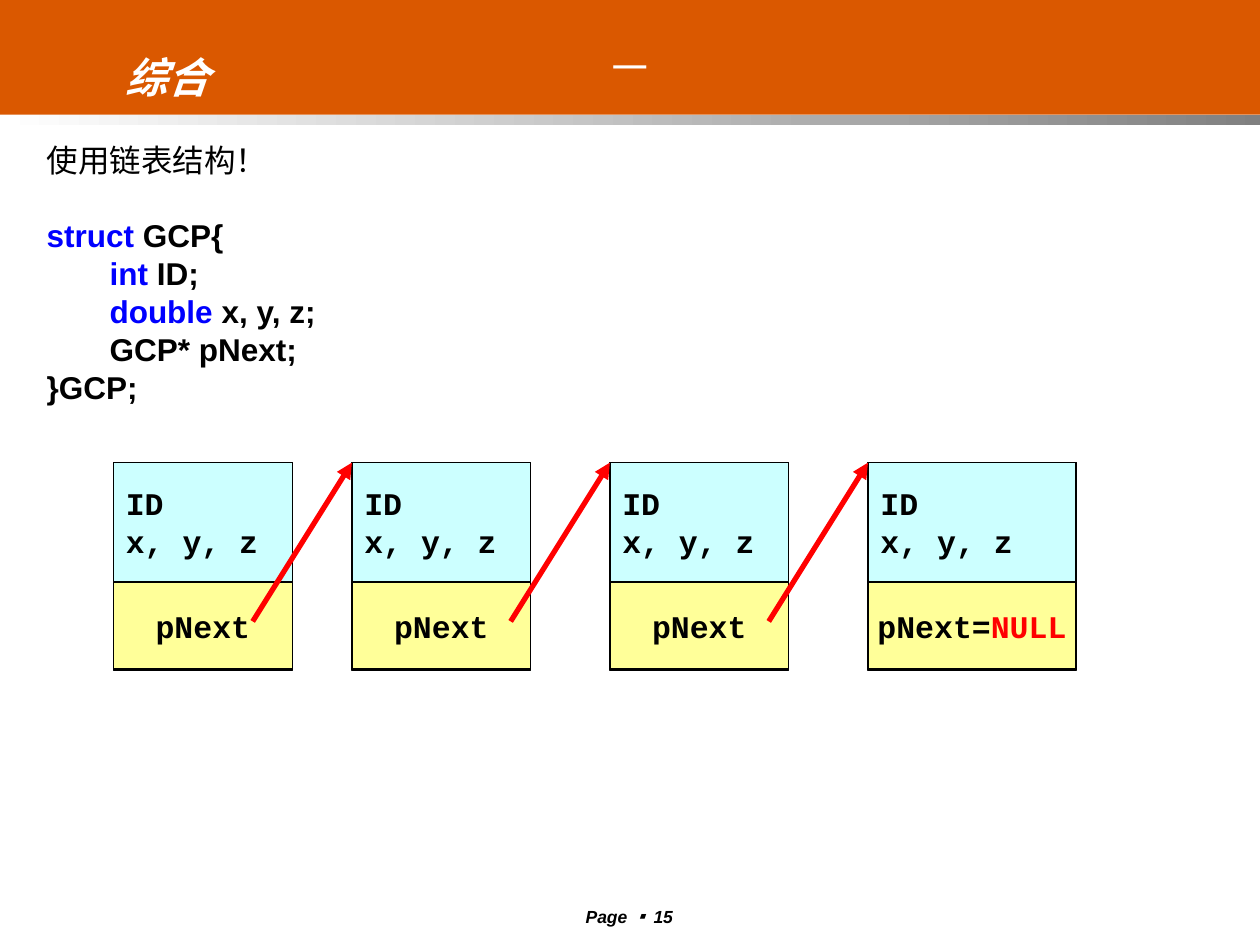
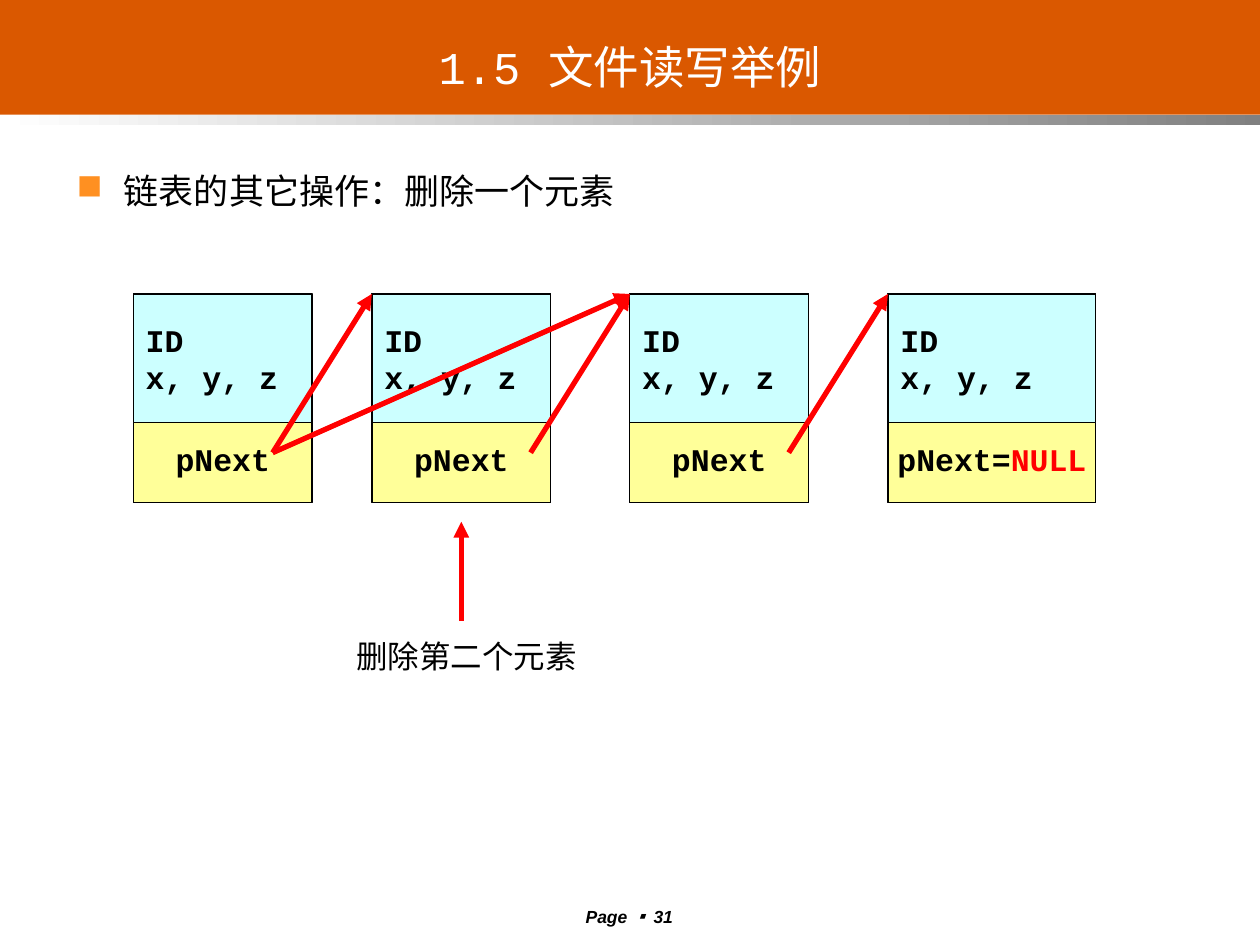
from dataclasses import dataclass

from lxml import etree
from pptx import Presentation
from pptx.dml.color import RGBColor
from pptx.enum import shapes, text
from pptx.oxml import ns
from pptx.util import Pt


@dataclass(frozen=True)
class Theme:
    band: str = "DA5800"
    rule_dark: str = "808080"
    white: str = "FFFFFF"
    ink: str = "000000"
    keyword: str = "0000FF"
    alert: str = "FF0000"
    bullet: str = "FF9021"
    data: str = "CCFFFF"
    link: str = "FFFF99"
    sans: str = "Arial"
    mono: str = "Courier New"
    cjk: str = "Noto Sans CJK JP"
    title_size: int = 26
    subtitle_size: int = 24
    bullet_size: int = 20
    body_size: int = 18
    footer_size: int = 10
    leading: float = 1.2


THEME = Theme()
CENTER = text.PP_ALIGN.CENTER
MIDDLE = text.MSO_ANCHOR.MIDDLE

# Linked-list geometry, measured from the top left of the first node
NODE_OFFSETS = (0, 136.3, 283.7, 431.2)
NODE_WIDTH, LAST_WIDTH, NODE_HEIGHT = 102.2, 118.8, 118.8
LINK_HEIGHT = 49.6
ARROW_RUN, ARROW_DROP = 56.7, 90.7


def rgb(value):
    return RGBColor.from_string(value)


# Text
def style_run(run, size, font, color=THEME.ink, bold=False, italic=False):
    run.font.size = Pt(size)
    run.font.name = font
    run.font.bold = bold
    run.font.italic = italic
    run.font.color.rgb = rgb(color)
    east_asian = etree.SubElement(run.font._element, ns.qn("a:ea"))
    east_asian.set("typeface", THEME.cjk)


def write(shape, lines, size, font, align=None, anchor=None, wrap=True, **style):
    """Fill a shape; each line is a list of (wording, style changes) pairs."""
    frame = shape.text_frame
    frame.word_wrap = wrap
    frame.vertical_anchor = anchor
    for index, line in enumerate(lines):
        paragraph = frame.add_paragraph() if index else frame.paragraphs[0]
        paragraph.alignment = align or text.PP_ALIGN.LEFT
        paragraph.line_spacing = Pt(size * THEME.leading)
        for wording, changes in line:
            run = paragraph.add_run()
            run.text = wording
            style_run(run, **{"size": size, "font": font, **style, **changes})
    return frame


def add_text(slide, left, top, width, height, lines, size, font, **options):
    box = slide.shapes.add_textbox(Pt(left), Pt(top), Pt(width), Pt(height))
    return write(box, lines, size, font, **options)


def add_bullet(slide, wording):
    frame = add_text(slide, 36.7, 88.6, 646.6, 408, [[(wording, {})]],
                     THEME.bullet_size, THEME.mono)
    paragraph = frame.paragraphs[0]
    paragraph.line_spacing = THEME.leading
    properties = paragraph._p.get_or_add_pPr()
    properties.set("marL", str(Pt(27)))
    properties.set("indent", str(Pt(-27)))
    color = etree.SubElement(properties, ns.qn("a:buClr"))
    etree.SubElement(color, ns.qn("a:srgbClr")).set("val", THEME.bullet)
    etree.SubElement(properties, ns.qn("a:buChar")).set("char", "■")


# Shapes and arrows
def add_box(slide, left, top, width, height, fill=None, outlined=True):
    box = slide.shapes.add_shape(shapes.MSO_SHAPE.RECTANGLE,
                                 Pt(left), Pt(top), Pt(width), Pt(height))
    box.shadow.inherit = False
    if fill:
        box.fill.solid()
        box.fill.fore_color.rgb = rgb(fill)
    if outlined:
        box.line.color.rgb = rgb(THEME.ink)
        box.line.width = Pt(0.75)
    else:
        box.line.fill.background()
    return box


def add_arrow(slide, start, end):
    arrow = slide.shapes.add_connector(shapes.MSO_CONNECTOR.STRAIGHT,
                                       *(Pt(value) for value in (*start, *end)))
    arrow.line.color.rgb = rgb(THEME.alert)
    arrow.line.width = Pt(3)
    head = etree.SubElement(arrow.line._get_or_add_ln(), ns.qn("a:tailEnd"))
    head.set("type", "triangle")
    etree.SubElement(arrow._element.spPr, ns.qn("a:effectLst"))


# Slide frame: band, shaded rule, title and footer
def add_page(prs, title, number):
    slide = prs.slides.add_slide(prs.slide_layouts[6])
    add_box(slide, 0, 0, 723, 65.6, THEME.band, outlined=False)
    rule = add_box(slide, 0, 65.6, 723, 5.8, outlined=False)
    rule.fill.gradient()
    rule.fill.gradient_angle = 180
    for stop, color in zip(rule.fill.gradient_stops, (THEME.rule_dark, THEME.white)):
        stop.color.rgb = rgb(color)
    add_text(slide, 36.7, 15.1, 646.6, 45.4, [[(title, {})]], THEME.title_size,
             THEME.mono, align=CENTER, anchor=MIDDLE, color=THEME.white)
    footer = [("Page ", {}), ("▪ ", {"font": THEME.cjk}), (str(number), {})]
    add_text(slide, 303.1, 514.1, 113, 15.8, [footer], THEME.footer_size,
             THEME.sans, align=CENTER, bold=True, italic=True)
    return slide


# Linked list
def add_node(slide, left, top, data_height, link_drop, last):
    width = LAST_WIDTH if last else NODE_WIDTH
    add_box(slide, left, top, width, NODE_HEIGHT, THEME.data)
    link = add_box(slide, left, top + link_drop, width, LINK_HEIGHT, THEME.link)
    pointer = [("pNext=", {}), ("NULL", {"color": THEME.alert})] if last else [("pNext", {})]
    write(link, [pointer], THEME.body_size, THEME.mono,
          align=CENTER, anchor=MIDDLE, wrap=False, bold=True)
    data = add_box(slide, left, top, width, data_height, THEME.data)
    write(data, [[("ID", {})], [("x, y, z", {})]], THEME.body_size, THEME.mono,
          anchor=MIDDLE, bold=True)


def add_linked_list(slide, left, top, data_height, link_drop):
    """Draw the chain; return where each arrow starts and each node's corner."""
    corners = [(left + offset, top) for offset in NODE_OFFSETS]
    for corner in corners:
        add_node(slide, *corner, data_height, link_drop, last=corner == corners[-1])
    tails = [(x - ARROW_RUN, y + ARROW_DROP) for x, y in corners[1:]]
    for tail, corner in zip(tails, corners[1:]):
        add_arrow(slide, tail, corner)
    return tails, corners


# Slides
def build_structure(prs):
    slide = add_page(prs, "－", 15)
    add_text(slide, 64.8, 25.9, 311.8, 36, [[("综合", {})]], THEME.subtitle_size,
             THEME.sans, color=THEME.white, bold=True, italic=True)
    code, keyword = {"bold": True}, {"bold": True, "color": THEME.keyword}
    listing = add_text(slide, 19.6, 77, 360, 158.4, [
        [("使用链表结构！", {})],
        [("struct ", keyword), ("GCP{", code)],
        [("\tint ", keyword), ("ID;", code)],
        [("\tdouble ", keyword), ("x, y, z;", code)],
        [("\tGCP* pNext;", code)],
        [("}GCP;", code)],
    ], THEME.body_size, THEME.sans)
    listing.paragraphs[1].space_before = Pt(THEME.body_size * THEME.leading)
    add_linked_list(slide, 64.8, 264.4, data_height=68, link_drop=68.4)


def build_deletion(prs):
    slide = add_page(prs, "1.5 文件读写举例", 31)
    add_bullet(slide, "链表的其它操作：删除一个元素")
    tails, corners = add_linked_list(slide, 76.2, 168, data_height=73.6, link_drop=69.4)
    removed_center = corners[1][0] + NODE_WIDTH / 2
    add_arrow(slide, (removed_center, 355), (removed_center, 298.2))
    add_text(slide, 195.6, 349.4, 141.8, 51, [[("删除第二个元素", {})]], THEME.body_size,
             THEME.sans, align=CENTER, anchor=MIDDLE, wrap=False)
    # The bypass from the first node to the third
    add_arrow(slide, tails[0], corners[2])


def main():
    prs = Presentation()
    prs.slide_width, prs.slide_height = Pt(720), Pt(540)
    build_structure(prs)
    build_deletion(prs)
    prs.save("out.pptx")


if __name__ == "__main__":
    main()
